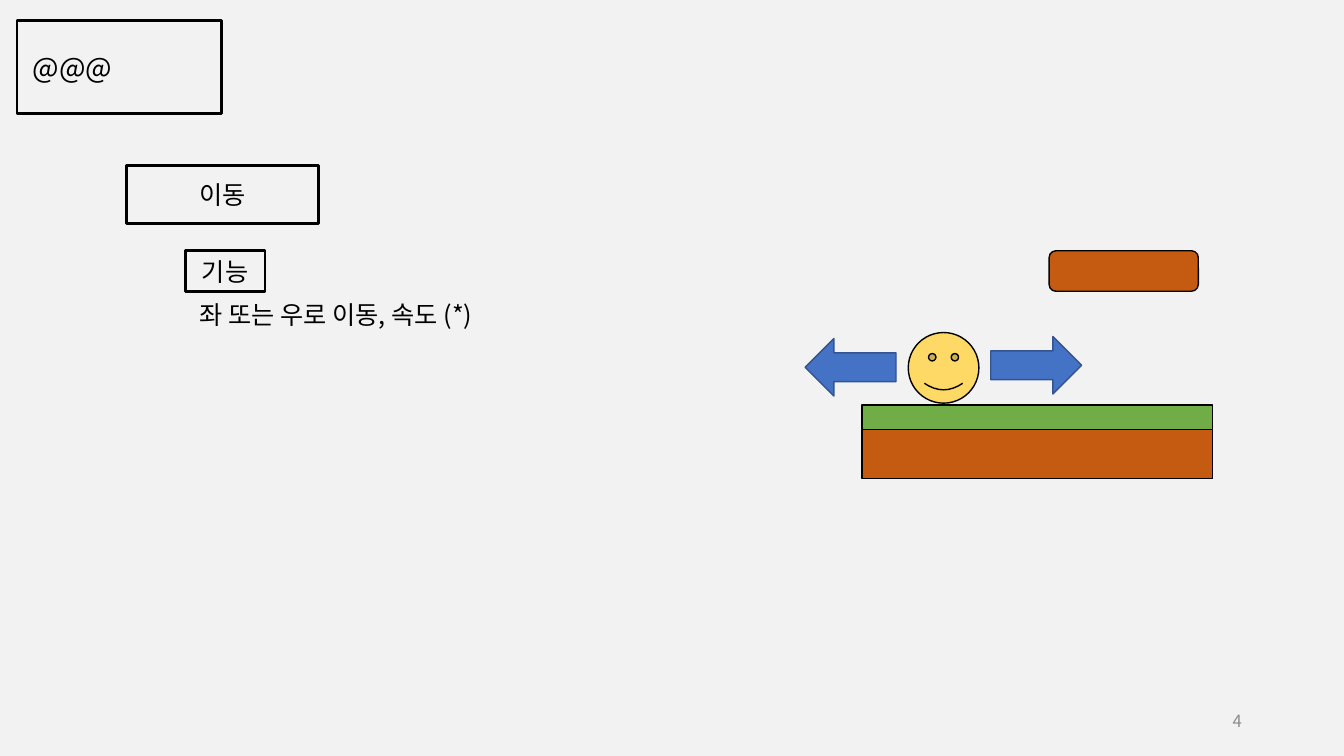
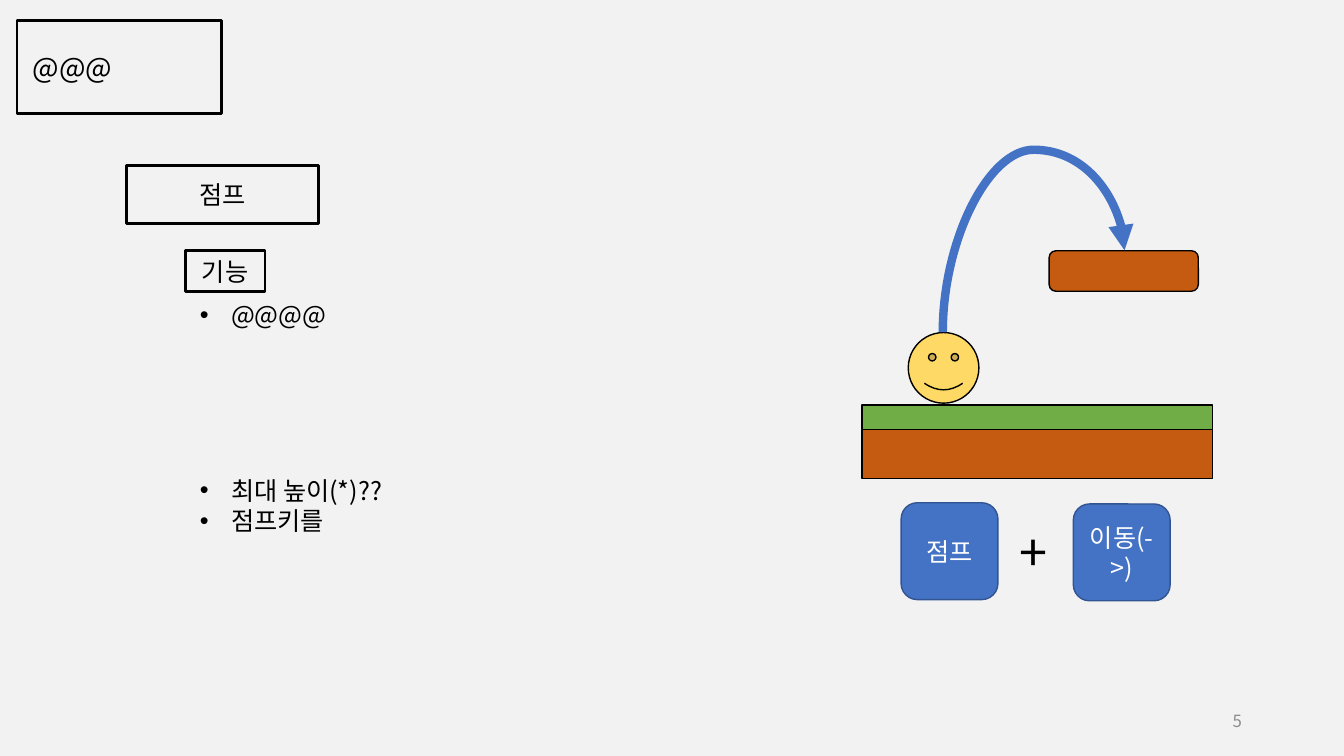
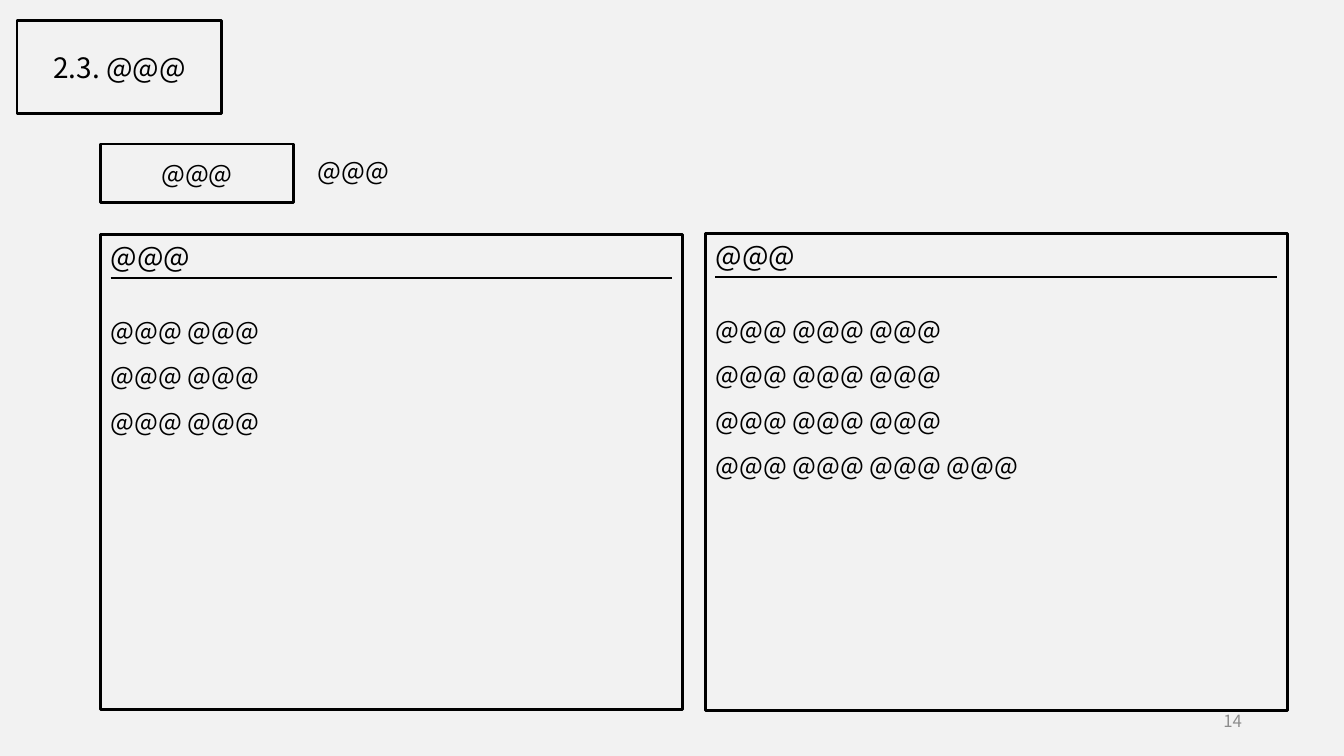
from pptx import Presentation
from pptx.dml.color import RGBColor
from pptx.enum.shapes import MSO_CONNECTOR as CONN, MSO_SHAPE as SHAPE
from pptx.enum.text import MSO_ANCHOR as ANCHOR, MSO_AUTO_SIZE as FIT, PP_ALIGN as ALIGN
from pptx.oxml import parse_xml
from pptx.oxml.ns import nsdecls
from pptx.util import Cm, Pt

FONT = "Noto Sans CJK KR"
BLACK = RGBColor(0x00, 0x00, 0x00)
WHITE = RGBColor(0xFF, 0xFF, 0xFF)
PAPER = RGBColor(0xF2, 0xF2, 0xF2)
GRAY = RGBColor(0x8C, 0x8C, 0x8C)
GRASS = RGBColor(0x70, 0xAD, 0x47)
SOIL = RGBColor(0xC5, 0x5A, 0x11)
YELLOW = RGBColor(0xFF, 0xD9, 0x66)
BLUE = RGBColor(0x44, 0x72, 0xC4)
NAVY = RGBColor(0x32, 0x54, 0x91)
LAYOUT_ONE, LAYOUT_TWO, LAYOUT_COMPARE = 1, 3, 4


def add_xml(parent, xml, index=None):
    head, sep, rest = xml.partition(" ") if " " in xml else xml.partition("/")
    element = parse_xml(f"{head} {nsdecls('a')}{sep}{rest}")
    parent.insert(len(parent) if index is None else index, element)


def style_run(r, size, color, outlined):
    r.font.size = Pt(size)
    r.font.bold = False
    r.font.color.rgb = color
    r.font.name = FONT
    rPr = r.font._element
    add_xml(rPr, f'<a:ea typeface="{FONT}"/>')
    if outlined:
        add_xml(rPr, '<a:ln w="9525"><a:solidFill><a:srgbClr val="000000">'
                     '<a:alpha val="30000"/></a:srgbClr></a:solidFill></a:ln>', 0)


def write(sp, text, size=18, color=BLACK, align=ALIGN.LEFT, anchor=ANCHOR.TOP,
          spacing=1.0, bullet=False, outlined=True):
    tf = sp.text_frame
    tf.text = text
    tf.word_wrap = True
    tf.auto_size = FIT.NONE
    tf.vertical_anchor = anchor
    for p in tf.paragraphs:
        p.alignment = align
        p.line_spacing = spacing
        p.space_before = Pt(0)
        pPr = p._p.get_or_add_pPr()
        indent = Cm(0.79) if bullet else 0
        pPr.set("marL", str(indent))
        pPr.set("indent", str(-indent))
        if bullet:
            add_xml(pPr, '<a:buFont typeface="Arial"/>')
            add_xml(pPr, '<a:buChar char="•"/>')
        else:
            add_xml(pPr, "<a:buNone/>")
        for r in p.runs:
            style_run(r, size, color, outlined)


def place(sp, x, y, w, h):
    sp.left, sp.top, sp.width, sp.height = Cm(x), Cm(y), Cm(w), Cm(h)


def fill_placeholder(slide, idx, box, text, **style):
    sp = slide.placeholders[idx]
    place(sp, *box)
    write(sp, text, **style)


def add_text(slide, box, text, **style):
    sp = slide.shapes.add_textbox(*map(Cm, box))
    write(sp, text, **style)


def add_block(slide, kind, box, fill=None, line=BLACK, width=1):
    sp = slide.shapes.add_shape(kind, *map(Cm, box))
    sp.shadow.inherit = False
    if fill is None:
        sp.fill.background()
    else:
        sp.fill.solid()
        sp.fill.fore_color.rgb = fill
    sp.line.color.rgb = line
    sp.line.width = Pt(width)
    return sp


def add_label(slide, box, text):
    sp = add_block(slide, SHAPE.RECTANGLE, box, width=2)
    write(sp, text, align=ALIGN.CENTER, anchor=ANCHOR.MIDDLE)


def add_key(slide, x, y, text):
    sp = add_block(slide, SHAPE.ROUNDED_RECTANGLE, (x, y, 2.44, 2.44), BLUE, NAVY)
    write(sp, text, color=WHITE, align=ALIGN.CENTER, anchor=ANCHOR.MIDDLE, outlined=False)


def add_line(slide, kind, x1, y1, x2, y2, color, width):
    line = slide.shapes.add_connector(kind, Cm(x1), Cm(y1), Cm(x2), Cm(y2))
    line.line.color.rgb = color
    line.line.width = Pt(width)
    add_xml(line._element.spPr, "<a:effectLst/>")
    return line


def add_jump_arc(slide):
    arc = add_line(slide, CONN.CURVE, 27.08, 9.63, 25.02, 5.05, BLUE, 6)
    spPr = arc._element.spPr
    spPr.xfrm.set("rot", "5400000")
    add_xml(spPr.prstGeom.get_or_add_avLst(), '<a:gd name="adj1" fmla="val 223100"/>')
    add_xml(arc.line._get_or_add_ln(), '<a:tailEnd type="triangle"/>')


def add_scene(slide):
    add_block(slide, SHAPE.RECTANGLE, (21.72, 10.21, 8.84, 0.61), GRASS)
    add_block(slide, SHAPE.RECTANGLE, (21.72, 10.82, 8.84, 1.24), SOIL)
    add_block(slide, SHAPE.SMILEY_FACE, (22.89, 8.38, 1.78, 1.78), YELLOW)
    add_block(slide, SHAPE.ROUNDED_RECTANGLE, (26.44, 6.32, 3.76, 1.02), SOIL)


def add_panel(slide, idx, x, y, h, heading, lines):
    fill_placeholder(slide, idx, (x, y, 8.56, 1.12), heading, size=20)
    fill_placeholder(slide, idx + 1, (x, y + 1.52, 14.66, 4.7), "\n".join(lines),
                     align=ALIGN.JUSTIFY, spacing=1.5)
    add_line(slide, CONN.STRAIGHT, x + 0.25, y + 1.09, x + 14.4, y + 1.09, BLACK, 1.25)
    add_block(slide, SHAPE.RECTANGLE, (x, y, 14.66, h), width=2)


def new_slide(prs, layout, title, number, align=ALIGN.LEFT):
    slide = prs.slides.add_slide(prs.slide_layouts[layout])
    sp = slide.shapes.title
    place(sp, 0.43, 0.51, 5.16, 2.36)
    sp.line.color.rgb = BLACK
    sp.line.width = Pt(2)
    write(sp, title, size=20, align=align, anchor=ANCHOR.MIDDLE)
    if align == ALIGN.LEFT:
        sp.text_frame.margin_left = Cm(0.4)
    add_text(slide, (23.93, 17.65, 7.62, 1.02), number, size=12, color=GRAY,
             align=ALIGN.RIGHT, anchor=ANCHOR.MIDDLE, outlined=False)
    return slide


def new_action_slide(prs, layout, number, action, feature, bullet):
    slide = new_slide(prs, layout, "@@@", number)
    add_label(slide, (3.18, 4.17, 4.85, 1.47), action)
    add_label(slide, (4.67, 6.32, 2.01, 1.02), "기능")
    fill_placeholder(slide, 1, (4.78, 7.42, 12.42, 1.02), feature, bullet=bullet)
    add_scene(slide)
    return slide


def build_move(prs):
    slide = new_action_slide(prs, LAYOUT_ONE, "4", "이동", "좌 또는 우로 이동, 속도 (*)", False)
    add_block(slide, SHAPE.RIGHT_ARROW, (24.97, 8.48, 2.29, 1.45), BLUE, NAVY)
    left = add_block(slide, SHAPE.RIGHT_ARROW, (20.29, 8.53, 2.29, 1.45), BLUE, NAVY)
    left.rotation = 180


def build_jump(prs):
    slide = new_action_slide(prs, LAYOUT_TWO, "5", "점프", "@@@@", True)
    fill_placeholder(slide, 2, (4.78, 11.84, 12.42, 1.8), "최대 높이(*)??\n점프키를", bullet=True)
    add_jump_arc(slide)
    add_key(slide, 22.71, 12.67, "점프")
    add_key(slide, 27.05, 12.7, "이동(->)")
    add_text(slide, (25.45, 13, 1.32, 1.8), "+", size=36)


def build_compare(prs):
    slide = new_slide(prs, LAYOUT_COMPARE, "2.3. @@@", "14", ALIGN.CENTER)
    add_label(slide, (2.54, 3.63, 4.85, 1.47), "@@@")
    add_text(slide, (7.75, 3.78, 10.87, 1.02), "@@@")
    add_panel(slide, 1, 2.54, 5.92, 11.96, "@@@", ["@@@ @@@"] * 3)
    add_panel(slide, 3, 17.78, 5.89, 12.01, "@@@",
              ["@@@ @@@ @@@"] * 3 + ["@@@ @@@ @@@ @@@"])


def main():
    prs = Presentation()
    prs.slide_width, prs.slide_height = Cm(33.87), Cm(19.05)
    background = prs.slide_master.background.fill
    background.solid()
    background.fore_color.rgb = PAPER
    build_move(prs)
    build_jump(prs)
    build_compare(prs)
    prs.save("out.pptx")


if __name__ == "__main__":
    main()
